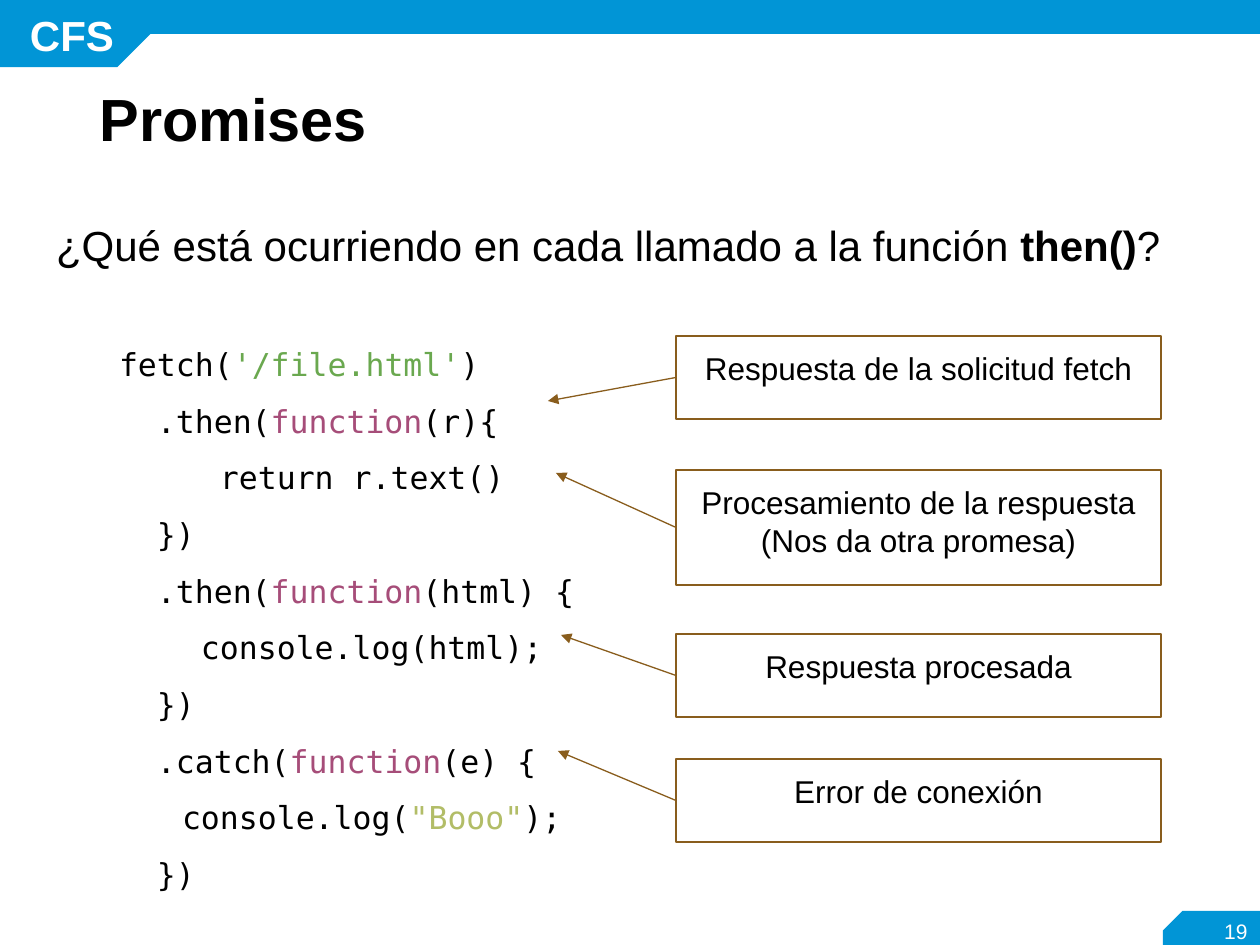
from dataclasses import dataclass

from lxml.etree import SubElement
from pptx import Presentation
from pptx.dml.color import RGBColor as Rgb
from pptx.enum.shapes import MSO_CONNECTOR as Connector, MSO_SHAPE as Shape
from pptx.enum.text import MSO_ANCHOR as Anchor, MSO_AUTO_SIZE as AutoSize, PP_ALIGN as Align
from pptx.oxml.ns import qn
from pptx.util import Emu, Pt


@dataclass(frozen=True)
class Theme:
    band: Rgb = Rgb(0x01, 0x95, 0xD6)
    white: Rgb = Rgb(0xFF, 0xFF, 0xFF)
    ink: Rgb = Rgb(0, 0, 0)
    callout: Rgb = Rgb(0x89, 0x5D, 0x1D)
    path_string: Rgb = Rgb(0x6A, 0xA8, 0x4F)
    keyword: Rgb = Rgb(0xA6, 0x4D, 0x79)
    log_string: Rgb = Rgb(0xB2, 0xBD, 0x67)
    sans: str = "Arial"
    mono: str = "DejaVu Sans Mono"
    title: int = 34
    lead: int = 24
    code: int = 18
    number: int = 12


theme = Theme()
PX = 914400 / 126


def px(*lengths):
    return [Emu(round(length * PX)) for length in lengths]


def style(run, size, color=theme.ink, bold=False, face=theme.sans):
    run.font.name = face
    run.font.size = Pt(size)
    run.font.bold = bold
    run.font.color.rgb = color


deck = Presentation()
deck.slide_width, deck.slide_height = px(1260, 945)
slide = deck.slides.add_slide(deck.slide_layouts[1])
shapes = slide.shapes

bands = [
    (Shape.SNIP_1_RECTANGLE, (1163, 911, 97, 39), 0),
    (Shape.RECTANGLE, (141, 0, 1119, 34), 0),
    (Shape.SNIP_1_RECTANGLE, (0, 0, 151, 67), 180),
]
for kind, place, turn in bands:
    band = shapes.add_shape(kind, *px(*place))
    band.shadow.inherit = False
    band.fill.solid()
    band.fill.fore_color.rgb = theme.band
    band.line.fill.background()
    band.rotation = turn
    if kind == Shape.SNIP_1_RECTANGLE:
        band.adjustments[0] = 0.5
        band.element.spPr.find(qn("a:xfrm")).set("flipH", "1")

labels = [
    ("CFS", (9, 5, 126, 59), Align.CENTER, theme.lead, True),
    ("19", (1183, 906, 77, 50), Align.RIGHT, theme.number, False),
]
for words, place, align, size, bold in labels:
    label = shapes.add_textbox(*px(*place)).text_frame
    label.word_wrap = True
    label.vertical_anchor = Anchor.MIDDLE
    label.text = words
    label.paragraphs[0].alignment = align
    style(label.paragraphs[0].runs[0], size, theme.white, bold)

title = shapes.title
title.left, title.top, title.width, title.height = px(87, 38, 1086, 168)
heading = title.text_frame
heading.text = "Promises"
heading.auto_size = AutoSize.NONE
heading.vertical_anchor = Anchor.MIDDLE
heading.paragraphs[0].alignment = Align.LEFT
heading.paragraphs[0].line_spacing = 0.9
style(heading.paragraphs[0].runs[0], theme.title, bold=True)

body = slide.placeholders[1]
body.left, body.top, body.width, body.height = px(43, 199, 1174, 717)
content = body.text_frame
content.auto_size = AutoSize.NONE
content.margin_left, content.margin_top, content.margin_right, content.margin_bottom = px(13, 13, 13, 13)

question = [
    ("¿Qué está ocurriendo en cada llamado a la función ", theme.ink),
    ("then()", theme.ink),
    ("?", theme.ink),
]
function = ("function", theme.keyword)
code_lines = [
    (63, 0, [("fetch(", theme.ink), ("'/file.html'", theme.path_string), (")", theme.ink)]),
    (63, 0, [("  .then(", theme.ink), function, ("(r){", theme.ink)]),
    (126, 0, [("  return r.text()", theme.ink)]),
    (63, 0, [("  })", theme.ink)]),
    (63, 0, [("  .then(", theme.ink), function, ("(html) {", theme.ink)]),
    (63, 63, [(" console.log(html);", theme.ink)]),
    (63, 0, [("  })", theme.ink)]),
    (63, 0, [("  .catch(", theme.ink), function, ("(e) {", theme.ink)]),
    (63, 63, [("console.log(", theme.ink), ('"Booo"', theme.log_string), (");", theme.ink)]),
    (63, 0, [("  })", theme.ink)]),
]
for index, (margin, indent, parts) in enumerate([(0, 0, question)] + code_lines):
    is_code = index > 0
    line = content.add_paragraph() if is_code else content.paragraphs[0]
    properties = line._p.get_or_add_pPr()
    properties.set("marL", str(px(margin)[0]))
    properties.set("indent", str(px(indent)[0]))
    SubElement(properties, qn("a:buNone"))
    line.line_spacing = 1.5 if is_code else 1.15
    line.space_before = Pt(32 if index == 1 else 0)
    for words, color in parts:
        run = line.add_run()
        run.text = words
        if is_code:
            style(run, theme.code, color, face=theme.mono)
        else:
            style(run, theme.lead, color, bold=words == "then()")

callouts = [
    ("Respuesta de la solicitud fetch", 336, 83, (548, 401)),
    ("Procesamiento de la respuesta\n(Nos da otra promesa)", 470, 115, (556, 473)),
    ("Respuesta procesada", 634, 83, (561, 635)),
    ("Error de conexión", 759, 83, (558, 751)),
]
for words, top, height, tip in callouts:
    callout = shapes.add_shape(Shape.RECTANGLE, *px(676, top, 485, height))
    callout.shadow.inherit = False
    callout.fill.background()
    callout.line.color.rgb = theme.callout
    callout.line.width = Pt(1.5)
    note = callout.text_frame
    note.word_wrap = True
    note.vertical_anchor = Anchor.TOP
    note.margin_left, note.margin_top, note.margin_right, note.margin_bottom = px(13, 13, 13, 13)
    note.text = words
    for paragraph in note.paragraphs:
        paragraph.alignment = Align.CENTER
        style(paragraph.runs[0], theme.code)

    arrow = shapes.add_connector(Connector.STRAIGHT, *px(676, top + height / 2, *tip))
    arrow.begin_connect(callout, 1)
    arrow.line.color.rgb = theme.callout
    arrow.line.width = Pt(0.75)
    SubElement(arrow.line._get_or_add_ln(), qn("a:tailEnd"), type="triangle")
    SubElement(arrow._element.spPr, qn("a:effectLst"))

deck.save("out.pptx")
